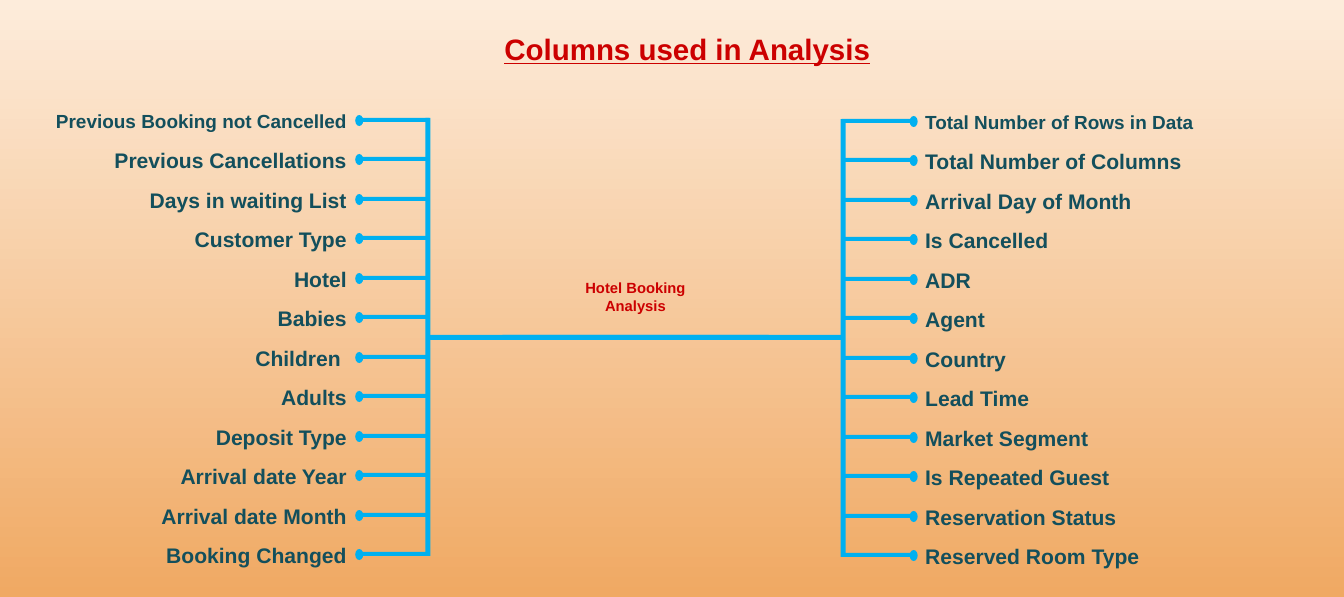
"""Build the slide that maps the columns used in a hotel booking analysis."""
from pptx import Presentation
from pptx import util as u
from pptx.dml.color import RGBColor
from pptx.enum import shapes, text

PX = 914400 / 75.8
RED = RGBColor(0xCC, 0x00, 0x00)
TEAL = RGBColor(0x13, 0x4F, 0x5C)
BLUE = RGBColor(0x00, 0xB0, 0xF0)
CREAM = RGBColor(0xFD, 0xEC, 0xDB)
AMBER = RGBColor(0xF0, 0xA9, 0x63)
RECT = shapes.MSO_SHAPE.RECTANGLE
OVAL = shapes.MSO_SHAPE.OVAL
LEFT = ["Previous Booking not Cancelled", "Previous Cancellations",
        "Days in waiting List", "Customer Type", "Hotel", "Babies",
        "Children ", "Adults", "Deposit Type", "Arrival date Year",
        "Arrival date Month", "Booking Changed"]
RIGHT = ["Total Number of Rows in Data", "Total Number of Columns",
         "Arrival Day of Month", "Is Cancelled", "ADR", "Agent", "Country",
         "Lead Time", "Market Segment", "Is Repeated Guest",
         "Reservation Status", "Reserved Room Type"]

deck = Presentation()
deck.slide_width = u.Emu(round(1343 * PX))
deck.slide_height = u.Emu(round(597 * PX))
slide = deck.slides.add_slide(deck.slide_layouts[5])


def draw(kind, *box):
    """Add a plain blue shape, with its box in px."""
    shape = slide.shapes.add_shape(kind, *[round(n * PX) for n in box])
    shape.shadow.inherit = False
    shape.fill.solid()
    shape.fill.fore_color.rgb = BLUE
    shape.line.fill.background()


def write(shape, box, words, size, color, align, anchor):
    """Place a text shape and fill it with one bold paragraph."""
    shape.left, shape.top, shape.width, shape.height = [
        round(n * PX) for n in box]
    frame = shape.text_frame
    frame.word_wrap = True
    frame.auto_size = text.MSO_AUTO_SIZE.NONE
    frame.vertical_anchor = anchor
    para = frame.paragraphs[0]
    para.text = words
    para.alignment = align
    para.font.name = "Arial"
    para.font.size = u.Pt(size)
    para.font.bold = True
    para.font.color.rgb = color
    return frame


fill = slide.background.fill
fill.gradient()
fill.gradient_angle = 270
for stop, color in zip(fill.gradient_stops, (CREAM, AMBER)):
    stop.color.rgb = color

top = text.MSO_ANCHOR.TOP
mid = text.MSO_ANCHOR.MIDDLE
align = text.PP_ALIGN

title = write(slide.shapes.title, (45, 23, 1252, 60),
              "Columns used in Analysis", 28, RED, align.LEFT, top)
title.margin_left = round(459 * PX)
title.margin_top = round(8 * PX)
title.paragraphs[0].font.underline = True

sides = [
    (LEFT, 111, 426, 425, 359, 355, 26, align.RIGHT),
    (RIGHT, 112, 502, 840, 841, 909, 917, align.LEFT),
]
for names, start, trunk, rail, stub, dot, label, side in sides:
    draw(RECT, trunk, 335, 342, 5)
    draw(RECT, rail, start + 7, 5, 438)
    for row, name in enumerate(names):
        y = start + row * 79 // 2
        draw(RECT, stub, y + 7, 70, 4)
        draw(OVAL, dot, y + 4, 8, 11)
        size = 20 if row else 18
        write(slide.shapes.add_textbox(0, 0, 0, 0), (label, y, 328, 20),
              name, size, TEAL, side, mid)

write(slide.shapes.add_textbox(0, 0, 0, 0), (493, 275, 284, 121),
      "Hotel Booking\nAnalysis", 14, RED, align.CENTER, top)

deck.save("out.pptx")
